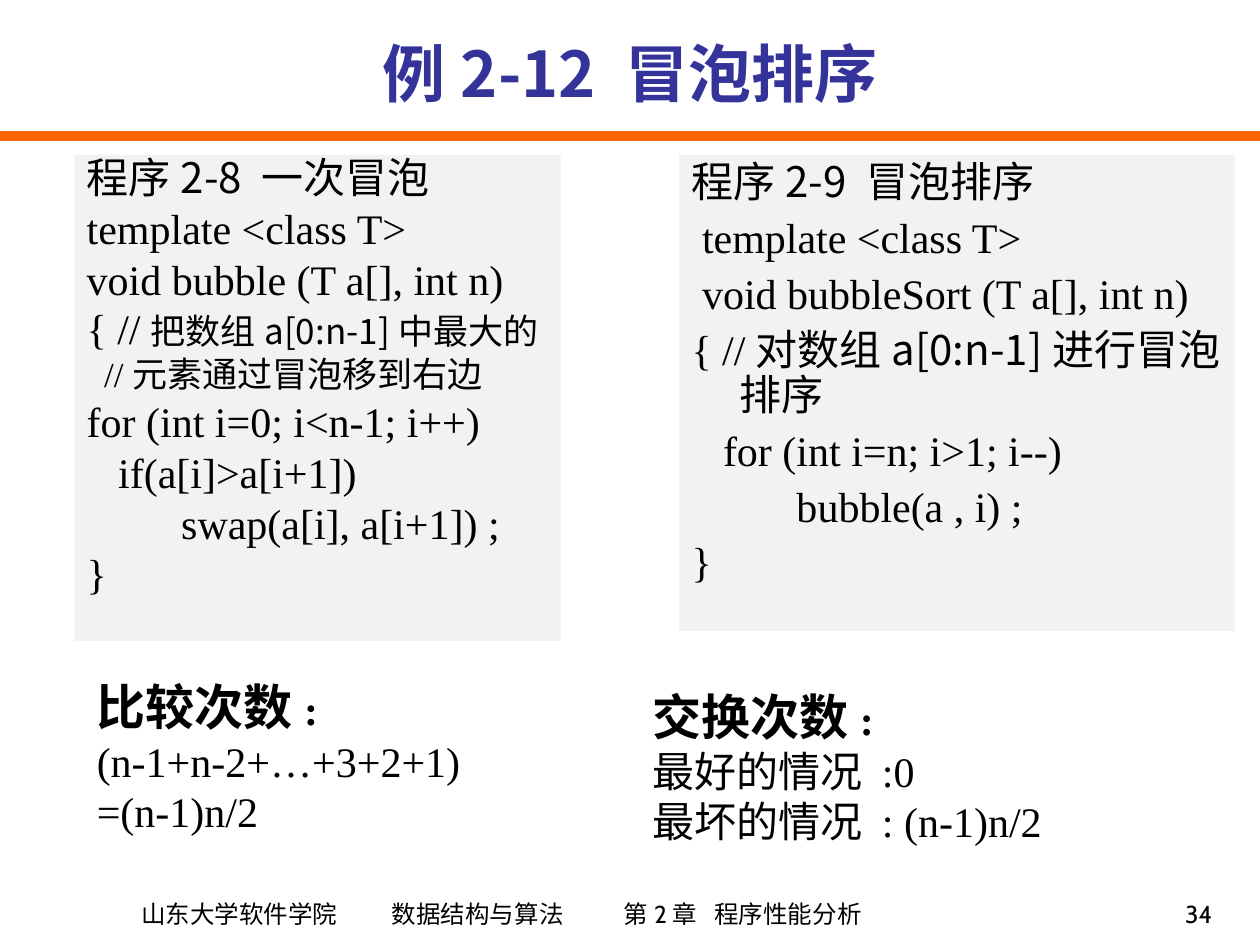
"""Build the bubble sort slide with two code panels and their operation counts."""
from lxml import etree
from pptx import Presentation
from pptx.dml.color import RGBColor
from pptx.enum.shapes import MSO_CONNECTOR, MSO_SHAPE
from pptx.enum.text import MSO_ANCHOR as Anchor, PP_ALIGN as Align
from pptx.oxml.ns import qn
from pptx.util import Inches, Pt

COLORS = {"text": "000000", "title": "333399", "rule": "FF6600", "panel": "F2F2F2"}
SANS, SERIF, FOOT = "Noto Sans CJK SC", "Times New Roman", "Cabin"
INDENTS = [(0.38, -0.38), (0.81, -0.31)]
FOOTER_TABS = [1.99, 3.83, 4.55]

TITLE = "例2-12 冒泡排序"
FOOTER = "山东大学软件学院\t数据结构与算法\t第2章\t程序性能分析"
PAGE = "34"


def sans(text, size=24, bold=False):
    return text, SANS, size, bold


def serif(text, size=24, bold=False):
    return text, SERIF, size, bold


PANELS = [
    {"box": (0.59, 1.23, 3.86, 3.86), "spacing": 0.8, "lines": [
        (0, 6, [sans("程序2-8 一次冒泡")]),
        (0, 6, [serif("template <class T>")]),
        (0, 6, [serif("void bubble (T a[], int n)")]),
        (0, 5, [serif("{ //"), sans("把数组a[0:n-1]中最大的", 20)]),
        (0, 5, [serif("  //", 20), sans("元素通过冒泡移到右边", 20)]),
        (0, 6, [serif("for (int i=0; i<n-1; i++)")]),
        (0, 6, [serif("   if(a[i]>a[i+1])")]),
        (1, 6, [serif("   swap(a[i], a[i+1]) ;")]),
        (0, 6, [serif("}")]),
    ]},
    {"box": (5.39, 1.23, 4.41, 3.78), "spacing": 0.9, "lines": [
        (0, 6, [sans("程序2-9 冒泡排序")]),
        (0, 6, [serif(" template <class T>")]),
        (0, 6, [serif(" void bubbleSort (T a[], int n)")]),
        (0, 6, [serif("{ //"), sans("对数组a[0:n-1]进行冒泡排序")]),
        (0, 6, [serif("   for (int i=n; i>1; i--)")]),
        (1, 6, [serif("    bubble(a , i) ;")]),
        (0, 6, [serif("}")]),
    ]},
]
COUNTS = [
    {"box": (0.67, 5.32, 4.17, 1.37), "lines": [
        [sans("比较次数", 28, True), serif(":", bold=True)],
        [serif("(n-1+n-2+…+3+2+1)")],
        [serif("=(n-1)n/2")],
    ]},
    {"box": (5.08, 5.4, 4.41, 1.37), "lines": [
        [sans("交换次数", 28, True), serif(":", bold=True)],
        [sans("最好的情况 "), serif(":0")],
        [sans("最坏的情况 "), serif(": (n-1)n/2")],
    ]},
]


def rgb(name):
    return RGBColor.from_string(COLORS[name])


def add_runs(paragraph, parts, color="text"):
    for text, face, size, bold in parts:
        run = paragraph.add_run()
        run.text = text
        run.font.name, run.font.size, run.font.bold = face, Pt(size), bold
        run.font.color.rgb = rgb(color)
        etree.SubElement(run._r.get_or_add_rPr(), qn("a:ea"), typeface=SANS)


def paragraphs(frame, count):
    return [frame.paragraphs[0]] + [frame.add_paragraph() for _ in range(count - 1)]


def add_text(slide, box, lines, align=Align.LEFT, anchor=Anchor.TOP, color="text"):
    frame = slide.shapes.add_textbox(*map(Inches, box)).text_frame
    frame.word_wrap = True
    frame.vertical_anchor = anchor
    for paragraph, parts in zip(paragraphs(frame, len(lines)), lines):
        paragraph.alignment = align
        add_runs(paragraph, parts, color)
    return frame


def add_panel(slide, box, spacing, lines):
    panel = slide.shapes.add_shape(MSO_SHAPE.RECTANGLE, *map(Inches, box))
    panel.shadow.inherit = False
    panel.fill.solid()
    panel.fill.fore_color.rgb = rgb("panel")
    panel.line.fill.background()
    frame = panel.text_frame
    frame.word_wrap = True
    frame.vertical_anchor = Anchor.TOP
    for row, (paragraph, line) in enumerate(zip(paragraphs(frame, len(lines)), lines)):
        level, before, parts = line
        paragraph.alignment = Align.LEFT
        paragraph.level = level
        paragraph.line_spacing = spacing
        paragraph.space_before = Pt(before if row else 0)
        margin, indent = INDENTS[level]
        properties = paragraph._p.get_or_add_pPr()
        properties.set("marL", str(Inches(margin)))
        properties.set("indent", str(Inches(indent)))
        add_runs(paragraph, parts)


def add_rule(slide):
    rule = slide.shapes.add_connector(
        MSO_CONNECTOR.STRAIGHT, 0, Inches(1.08), Inches(10), Inches(1.08))
    rule.line.color.rgb = rgb("rule")
    rule.line.width = Pt(6)
    etree.SubElement(rule._element.spPr, qn("a:effectLst"))


def add_footer(slide):
    add_text(slide, (7.52, 6.92, 2.2, 0.5), [[(PAGE, FOOT, 14, False)]],
             Align.RIGHT, Anchor.BOTTOM)
    frame = add_text(slide, (0.51, 6.92, 6.93, 0.5), [[(FOOTER, FOOT, 14, False)]],
                     anchor=Anchor.BOTTOM)
    frame.margin_left = Inches(0.61)
    tabs = etree.SubElement(frame.paragraphs[0]._p.get_or_add_pPr(), qn("a:tabLst"))
    for stop in FOOTER_TABS:
        etree.SubElement(tabs, qn("a:tab"), pos=str(Inches(stop)), algn="l")


def main():
    deck = Presentation()
    deck.slide_width, deck.slide_height = Inches(10), Inches(7.5)
    slide = deck.slides.add_slide(deck.slide_layouts[6])
    add_rule(slide)
    add_footer(slide)
    add_text(slide, (0, 0, 10, 0.92), [[sans(TITLE, 36, True)]],
             Align.CENTER, Anchor.BOTTOM, "title")
    for panel in PANELS:
        add_panel(slide, **panel)
    for count in COUNTS:
        add_text(slide, **count)
    deck.save("out.pptx")


if __name__ == "__main__":
    main()
